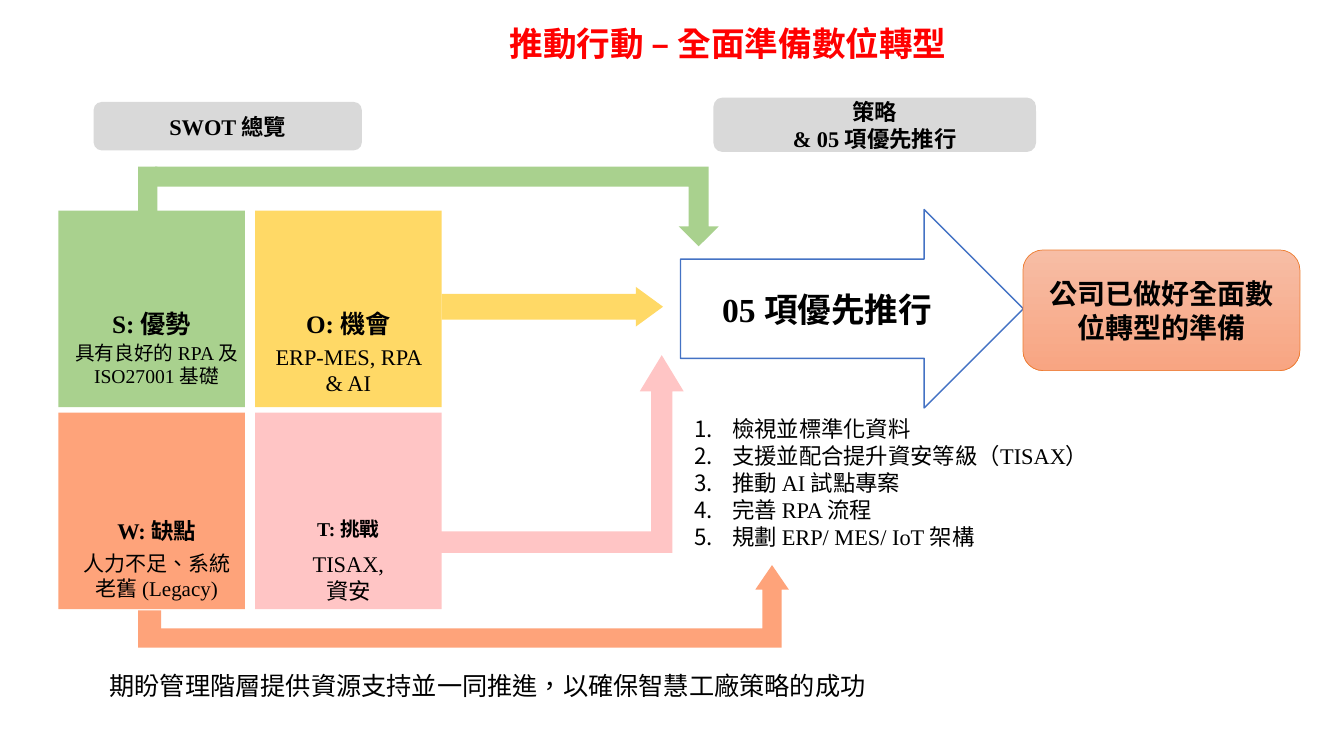
from pptx import Presentation
from pptx.dml.color import RGBColor
from pptx.enum.lang import MSO_LANGUAGE_ID
from pptx.enum.shapes import MSO_SHAPE
from pptx.enum.text import MSO_ANCHOR, MSO_AUTO_SIZE, PP_ALIGN
from pptx.oxml.ns import qn
from pptx.util import Cm, Pt
from lxml.etree import SubElement

BLACK = RGBColor(0x00, 0x00, 0x00)
WHITE = RGBColor(0xFF, 0xFF, 0xFF)
RED = RGBColor(0xFF, 0x00, 0x00)
GREY = RGBColor(0xD9, 0xD9, 0xD9)
GREEN = RGBColor(0xA9, 0xD1, 0x8E)
YELLOW = RGBColor(0xFF, 0xD9, 0x66)
ORANGE = RGBColor(0xFE, 0xA3, 0x7A)
PINK = RGBColor(0xFF, 0xC5, 0xC5)
BLUE_LINE = RGBColor(0x44, 0x72, 0xC4)
ORANGE_LINE = RGBColor(0xED, 0x7D, 0x31)
PEACH_TOP = RGBColor(0xF7, 0xBD, 0xA5)
PEACH_BOTTOM = RGBColor(0xF8, 0xA5, 0x82)


def write(frame, text, size=16, bold=False, color=BLACK, align=PP_ALIGN.CENTER,
          indent=0, numbered=False):
    """Fill a text frame, one paragraph for each line of text."""
    frame.word_wrap = True
    for index, line in enumerate(text.split("\n")):
        para = frame.add_paragraph() if index else frame.paragraphs[0]
        para.alignment = align
        properties = para._p.get_or_add_pPr()
        if indent:
            properties.set("marL", str(Cm(indent)))
        if numbered:
            properties.set("indent", str(-Cm(indent)))
            SubElement(properties, qn("a:buAutoNum"), type="arabicPeriod")
        span = para.add_run()
        span.text = line
        span.font.name = "Times New Roman"
        span.font.size = Pt(size)
        span.font.bold = bold
        span.font.color.rgb = color
        span.font.language_id = MSO_LANGUAGE_ID.TRADITIONAL_CHINESE


def add_text(page, box, text, **style):
    """Add a wrapping text box at a box given in centimetres."""
    frame = page.shapes.add_textbox(*map(Cm, box)).text_frame
    write(frame, text, **style)
    frame.auto_size = MSO_AUTO_SIZE.SHAPE_TO_FIT_TEXT


def add_block(page, kind, box, fill, text="", line=None, width=1, adjust=(), **style):
    """Add a flat preset shape at a box given in centimetres."""
    shape = page.shapes.add_shape(kind, *map(Cm, box))
    shape.shadow.inherit = False
    shape.fill.solid()
    shape.fill.fore_color.rgb = fill
    if line is None:
        shape.line.fill.background()
    else:
        shape.line.color.rgb = line
        shape.line.width = Pt(width)
    for index, value in enumerate(adjust):
        shape.adjustments[index] = value
    if text:
        shape.text_frame.vertical_anchor = MSO_ANCHOR.MIDDLE
        write(shape.text_frame, text, **style)
    return shape


def add_headings(page, box):
    """Add the title and the two grey column headings."""
    left, top, width, height = box
    add_text(page, (left + 2.21, top, 26.29, 1.27), "推動行動 – 全面準備數位轉型",
             size=24, bold=True, color=RED, indent=1.27)
    add_block(page, MSO_SHAPE.ROUNDED_RECTANGLE, (left, top + 2.11, 6.76, 1.22), GREY,
              "SWOT 總覽", bold=True)
    add_block(page, MSO_SHAPE.ROUNDED_RECTANGLE, (left + 15.62, top + 2, 8.13, 1.37), GREY,
              "策略\n& 05 項優先推行", bold=True)


def add_swot(page, box):
    """Add the four SWOT squares with their headings and details."""
    left, top, width, height = box
    side, gap = 4.7, 0.26
    tall = 4.95
    squares = [
        (0, 0, GREEN, "S: 優勢", 18, "具有良好的 RPA 及 ISO27001 基礎", 14, 0, 2.34, 3.15, 0.25),
        (1, 0, YELLOW, "O: 機會", 18, "ERP-MES, RPA & AI", 16, 0, 2.34, 3.2, 0),
        (0, 1, ORANGE, "W: 缺點", 16, "人力不足、系統老舊 (Legacy)", 15, 0.13, 2.51, 3.35, 0),
        (1, 1, PINK, "T: 挑戰", 14, "TISAX,\n資安", 16, 0, 2.51, 3.35, 0),
    ]
    for column, row, fill, name, name_size, detail, size, shift, name_y, detail_y, extra in squares:
        x = left + column * (side + gap)
        y = top + row * (height - tall)
        add_block(page, MSO_SHAPE.RECTANGLE, (x, y, side, tall), fill)
        add_text(page, (x + shift, y + name_y, side, 1.02), name, size=name_size, bold=True)
        add_text(page, (x + shift, y + detail_y, side + extra, 1.5), detail, size=size)


def add_priorities(page, box):
    """Add the large arrow, the numbered priorities and the outcome."""
    left, top, width, height = box
    add_block(page, MSO_SHAPE.RIGHT_ARROW, (left, top, 8.64, 5), WHITE, "05 項優先推行",
              line=BLUE_LINE, size=24, bold=True)
    priorities = ["檢視並標準化資料", "支援並配合提升資安等級（TISAX）", "推動 AI 試點專案",
                  "完善 RPA 流程", "規劃 ERP/ MES/ IoT 架構"]
    add_text(page, (left + 0.1, top + 5.06, 11.68, 3.68), "\n".join(priorities),
             align=PP_ALIGN.LEFT, indent=0.95, numbered=True)
    outcome = add_block(page, MSO_SHAPE.ROUNDED_RECTANGLE,
                        (left + width - 6.98, top + 1.02, 6.98, 3.04), PEACH_TOP,
                        "公司已做好全面數位轉型的準備", line=ORANGE_LINE, width=0.5,
                        size=20, bold=True)
    outcome.fill.gradient()
    outcome.fill.gradient_angle = 270
    for stop, color in zip(outcome.fill.gradient_stops, (PEACH_TOP, PEACH_BOTTOM)):
        stop.color.rgb = color


def add_flows(page, box):
    """Add the coloured arrows that lead from SWOT to the priorities."""
    left, top, width, height = box
    add_block(page, MSO_SHAPE.RIGHT_ARROW, (left + 7.65, top + 3.03, 5.58, 1), YELLOW,
              adjust=(0.648, 0.685))
    add_block(page, MSO_SHAPE.BENT_UP_ARROW, (left + 7.6, top + 4.75, 6.15, 4.98), PINK,
              adjust=(0.108, 0.111, 0.183))
    strengths = add_block(page, MSO_SHAPE.BENT_UP_ARROW, (left + 0.43, top, 14.2, 2.01), GREEN)
    strengths.element.spPr.xfrm.set("flipV", "1")
    add_block(page, MSO_SHAPE.RECTANGLE, (left, top, 0.49, 1.13), GREEN)
    add_block(page, MSO_SHAPE.BENT_UP_ARROW, (left, top + height - 2.08, 16.4, 2.08), ORANGE,
              adjust=(0.234, 0.203, 0.297))
    add_block(page, MSO_SHAPE.RECTANGLE, (left, top + height - 0.94, 0.58, 0.92), ORANGE)


def build():
    """Build and save the slide."""
    deck = Presentation()
    deck.slide_width, deck.slide_height = Cm(33.87), Cm(19.05)
    page = deck.slides.add_slide(deck.slide_layouts[6])
    add_headings(page, (2.36, 0.46, 28.5, 3.37))
    add_swot(page, (1.47, 5.31, 9.66, 10.04))
    add_flows(page, (3.48, 4.2, 16.4, 12.12))
    add_priorities(page, (17.15, 5.28, 15.61, 8.74))
    add_text(page, (2.51, 16.76, 29.29, 1.02),
             "期盼管理階層提供資源支持並一同推進，以確保智慧工廠策略的成功",
             size=18, align=PP_ALIGN.LEFT)
    deck.save("out.pptx")


if __name__ == "__main__":
    build()
